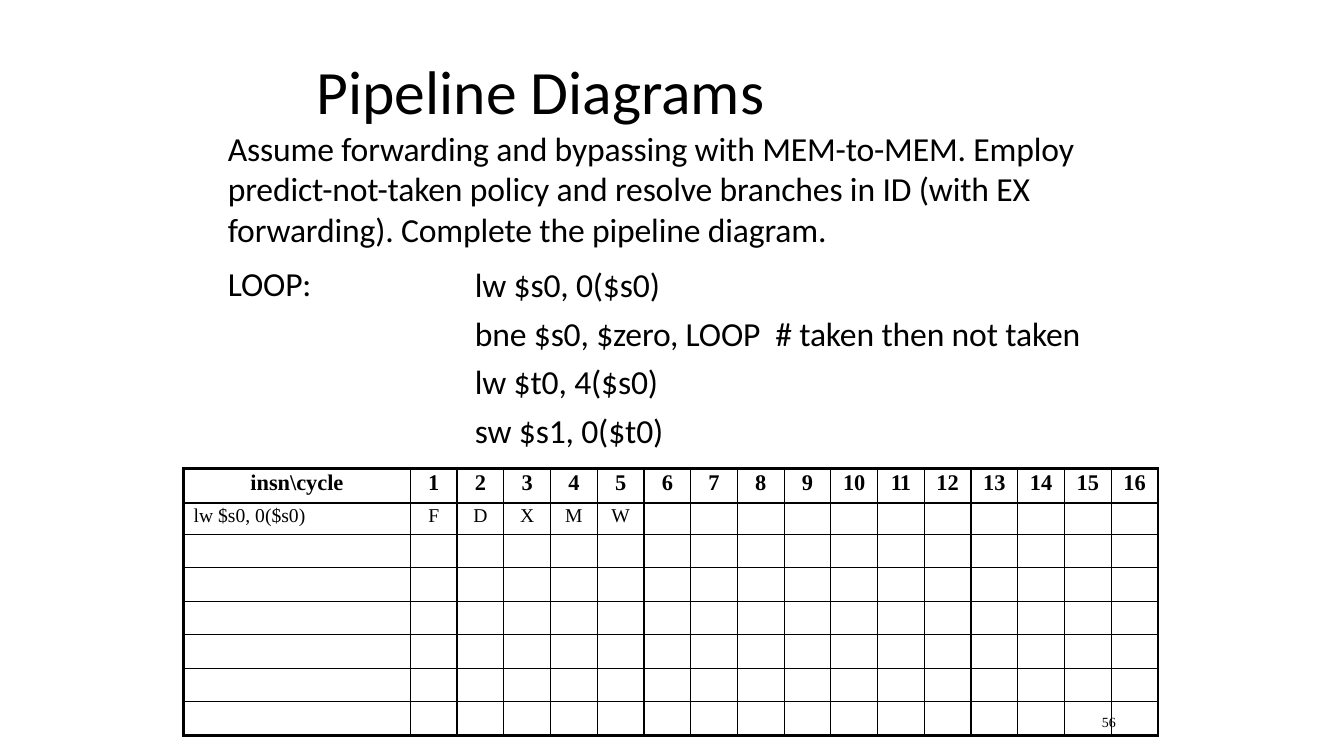
from dataclasses import dataclass

from lxml.etree import SubElement
from pptx import Presentation
from pptx.dml.color import RGBColor
from pptx.enum.text import MSO_ANCHOR, MSO_AUTO_SIZE, PP_ALIGN as ALIGN
from pptx.oxml.ns import qn
from pptx.util import Inches, Pt

BLACK = RGBColor(0x00, 0x00, 0x00)
SANS, SERIF = "Calibri", "Times New Roman"
THIN, THICK = 1, 2.25
CYCLES, BODY_ROWS = 16, 7
LABEL_W, TABLE_W = 2.25, 9.67


@dataclass
class TextBlock:
    left: float
    top: float
    width: float
    height: float
    lines: list[str]
    size: float = 24
    font: str = SANS
    before: float = 1
    tracking: float = 0


BLOCKS = [
    TextBlock(10.93, 7.08, 0.2, 0.15, ["56"], 10, SERIF, 0),
    TextBlock(2.26, 1.27, 8.49, 1.23, [
        "Assume forwarding and bypassing with MEM-to-MEM. Employ  predict-not-taken "
        "policy and resolve branches in ID (with EX forwarding). "
        "Complete the pipeline diagram."], tracking=-0.1),
    TextBlock(2.26, 2.61, 0.95, 0.43, ["LOOP:"], tracking=-0.1),
    TextBlock(4.71, 2.62, 6.4, 1.96, [
        "lw $s0, 0($s0)",
        "bne $s0, $zero, LOOP  # taken then not taken",
        "lw $t0, 4($s0)",
        "sw $s1, 0($t0)"], before=5.8, tracking=-0.1),
]


def add_run(p, text: str, size: float, font: str, bold: bool = False,
            tracking: float = 0) -> None:
    r = p.add_run()
    r.text = text
    r.font.size, r.font.name, r.font.bold = Pt(size), font, bold
    r.font.color.rgb = BLACK
    if tracking:
        r._r.get_or_add_rPr().set("spc", str(round(tracking * 100)))


def fill_text(sp, block: TextBlock) -> None:
    sp.left, sp.top = Inches(block.left), Inches(block.top)
    sp.width, sp.height = Inches(block.width), Inches(block.height)
    tf = sp.text_frame
    tf.word_wrap, tf.auto_size = True, MSO_AUTO_SIZE.NONE
    tf.vertical_anchor = MSO_ANCHOR.TOP
    tf.margin_left = tf.margin_top = tf.margin_right = tf.margin_bottom = 0
    for i, line in enumerate(block.lines):
        p = tf.add_paragraph() if i else tf.paragraphs[0]
        p.alignment = ALIGN.LEFT
        p.space_before = Pt(block.before)
        add_run(p, line, block.size, block.font, tracking=block.tracking)


def set_borders(cell, widths: dict[str, float]) -> None:
    tc_pr = cell._tc.get_or_add_tcPr()
    for side, width in widths.items():
        ln = SubElement(tc_pr, qn(f"a:ln{side}"), w=str(Pt(width)))
        SubElement(SubElement(ln, qn("a:solidFill")), qn("a:srgbClr"), val=str(BLACK))


def add_pipeline_table(s) -> None:
    rows = [["insn\\cycle", *map(str, range(1, CYCLES + 1))],
            ["lw $s0, 0($s0)", *"FDXMW"]]
    heights = [0.34, 0.31] + [0.333] * (BODY_ROWS - 1)
    table = s.shapes.add_table(len(heights), CYCLES + 1, Inches(1.82), Inches(4.65),
                               Inches(TABLE_W), Inches(sum(heights))).table
    table.first_row = table.horz_banding = False
    for c, col in enumerate(table.columns):
        col.width = Inches((TABLE_W - LABEL_W) / CYCLES if c else LABEL_W)
    for r, height in enumerate(heights):
        table.rows[r].height = Inches(height)
        for c in range(CYCLES + 1):
            cell = table.cell(r, c)
            cell.margin_left = cell.margin_right = cell.margin_bottom = 0
            cell.margin_top = Inches(0.02)
            set_borders(cell, {
                "L": THIN if c else THICK,
                "R": THICK if c == CYCLES else THIN,
                "T": THIN if r else THICK,
                "B": THICK if r == BODY_ROWS else THIN})
            cell.fill.background()
            p = cell.text_frame.paragraphs[0]
            if r < len(rows) and c < len(rows[r]):
                header = r == 0
                p.space_before = Pt(1.2 if header else 1.6)
                p.alignment = ALIGN.CENTER if header or c else ALIGN.LEFT
                if c == 0 and not header:
                    cell.margin_left = Inches(0.1)
                add_run(p, rows[r][c], 16 if header else 14, SERIF, header,
                        -0.8 if rows[r][c] == "11" else 0)
            else:
                SubElement(p._p, qn("a:endParaRPr"), sz="1400")


def main() -> None:
    prs = Presentation()
    prs.slide_width, prs.slide_height = Inches(13.33), Inches(7.5)
    s = prs.slides.add_slide(prs.slide_layouts[5])

    # Title
    fill_text(s.shapes.title,
              TextBlock(3.14, 0.52, 5.96, 0.76, ["Pipeline Diagrams"], 44, before=1.1))

    # Page number, task and code
    for block in BLOCKS:
        fill_text(s.shapes.add_textbox(0, 0, 0, 0), block)

    # Pipeline diagram
    add_pipeline_table(s)
    prs.save("out.pptx")


if __name__ == "__main__":
    main()
